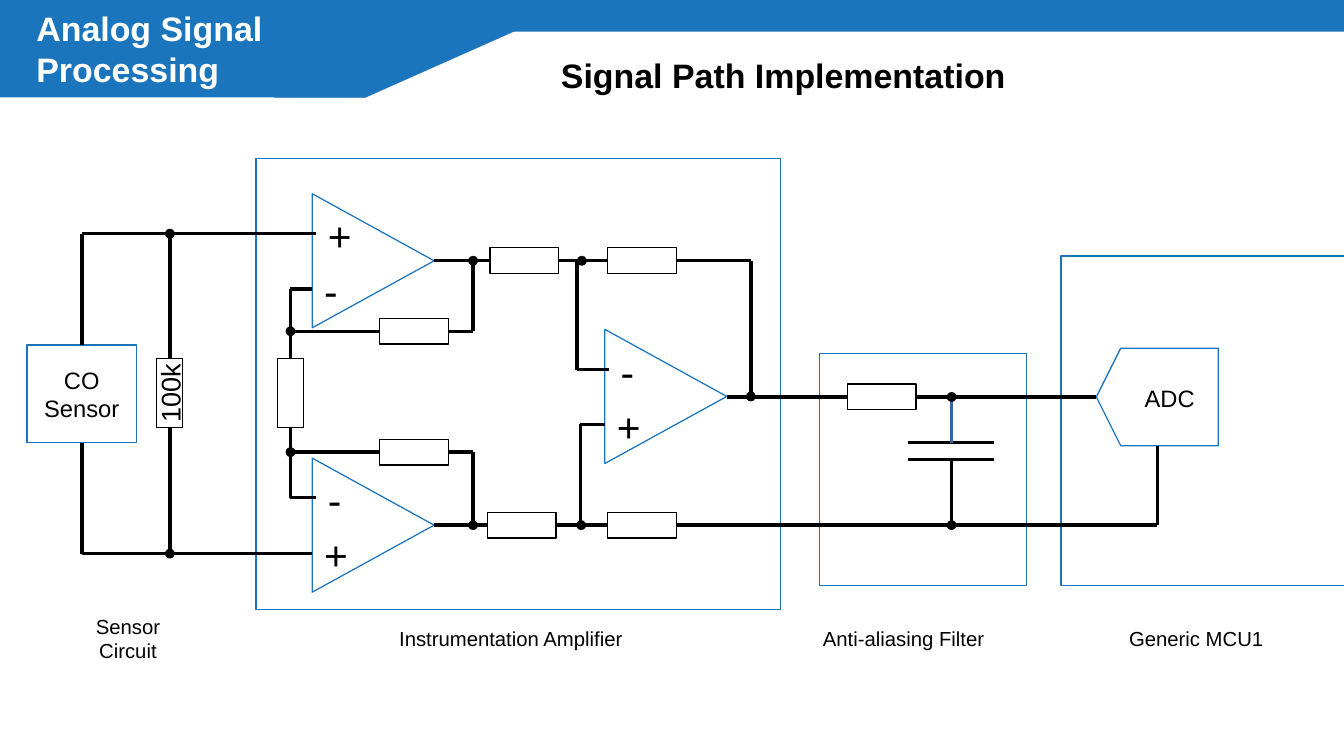
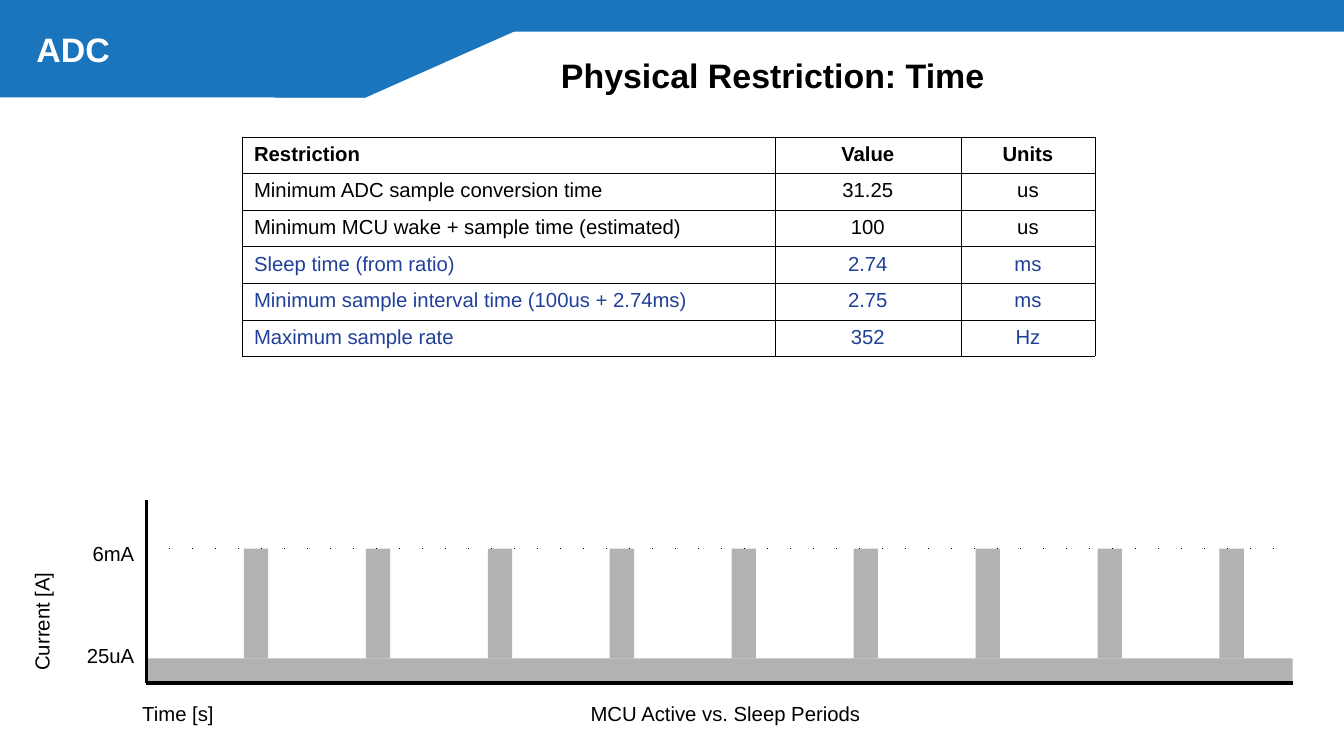
from dataclasses import dataclass
from typing import NamedTuple, Optional

from lxml import etree
from pptx import Presentation
from pptx.dml.color import RGBColor
from pptx.enum.shapes import MSO_CONNECTOR as Link, MSO_SHAPE as Form
from pptx.enum.text import MSO_ANCHOR as Anchor, MSO_AUTO_SIZE as AutoSize, PP_ALIGN as Align
from pptx.oxml.ns import qn
from pptx.util import Pt

COLOURS = {"brand": "1B75BC", "ink": "000000", "paper": "FFFFFF",
           "derived": "21409A", "pulse": "B2B2B2", "lead": "3465A4"}
FONT = "Arial"
HAIRLINE = 0
CELL_BORDER = 0.06


class Box(NamedTuple):
    left: float
    top: float
    width: float
    height: float


class Point(NamedTuple):
    x: float
    y: float


@dataclass
class Style:
    size: float = 12
    colour: str = "ink"
    bold: bool = False
    align: Align = Align.CENTER
    anchor: Anchor = Anchor.MIDDLE
    wrap: bool = True


@dataclass
class Band:
    form: Form
    box: Box
    flipped: bool = False
    slant: Optional[float] = None


@dataclass
class OpAmp:
    centre: Point
    signs: tuple[str, str]


@dataclass
class Label:
    text: str
    box: Box
    style: Style
    turn: float = 0


HEADING = Style(20, bold=True, align=Align.LEFT)
SECTION = Style(20, "paper", True, Align.LEFT)
SIGN = Style(24, align=Align.LEFT, anchor=Anchor.TOP)
PART = Style(14, wrap=False)
CAPTION = Style()
TICK = Style(align=Align.RIGHT)

BANDS = [
    Band(Form.RECTANGLE, Box(0, 0, 216, 57.6)),
    Band(Form.RIGHT_TRIANGLE, Box(216, 0, 129.6, 57.6), flipped=True),
    Band(Form.RECTANGLE, Box(295.2, 0, 498.3, 18.7)),
    Band(Form.PARALLELOGRAM, Box(162, 0, 72, 57.6), slant=0.312),
]


# Drawing helpers

def rgb(name: str) -> RGBColor:
    return RGBColor.from_string(COLOURS[name])


def points(values) -> list:
    return [Pt(value) for value in values]


def around(centre: Point, width: float, height: float) -> Box:
    return Box(centre.x - width / 2, centre.y - height / 2, width, height)


def write(frame, text: str, style: Style) -> None:
    frame.word_wrap = style.wrap
    frame.auto_size = AutoSize.NONE
    frame.vertical_anchor = style.anchor
    for number, line in enumerate(text.split("\n")):
        para = frame.add_paragraph() if number else frame.paragraphs[0]
        add_span(para, line, style)


def add_span(para, text: str, style: Style) -> None:
    para.alignment = style.align
    span = para.add_run()
    span.text = text
    span.font.name = FONT
    span.font.size = Pt(style.size)
    span.font.bold = style.bold
    span.font.color.rgb = rgb(style.colour)


def add_label(page, label: Label) -> None:
    box = page.shapes.add_textbox(*points(label.box))
    box.rotation = label.turn
    write(box.text_frame, label.text, label.style)


def add_form(page, form: Form, box: Box, fill: Optional[str] = None,
             line: Optional[str] = None, turn: float = 0):
    shape = page.shapes.add_shape(form, *points(box))
    shape.shadow.inherit = False
    shape.rotation = turn
    if fill:
        shape.fill.solid()
        shape.fill.fore_color.rgb = rgb(fill)
    else:
        shape.fill.background()
    if line:
        shape.line.color.rgb = rgb(line)
        shape.line.width = Pt(HAIRLINE)
    else:
        shape.line.fill.background()
    return shape


def add_line(page, start: Point, end: Point, colour: str = "ink", width: float = HAIRLINE):
    line = page.shapes.add_connector(Link.STRAIGHT, *points((*start, *end)))
    line.line.color.rgb = rgb(colour)
    line.line.width = Pt(width)
    etree.SubElement(line.element.spPr, qn("a:effectLst"))
    return line


def add_wire(page, *corners: tuple[float, float]) -> None:
    for start, end in zip(corners, corners[1:]):
        add_line(page, Point(*start), Point(*end))


def add_resistor(page, centre: Point, turn: float = 0):
    return add_form(page, Form.RECTANGLE, around(centre, 40.6, 15.3), line="ink", turn=turn)


def add_op_amp(page, amp: OpAmp) -> None:
    add_form(page, Form.ISOSCELES_TRIANGLE, around(amp.centre, 79.2, 72), line="brand", turn=90)
    for sign, across, down in zip(amp.signs, (-33.8, -36), (-33, -0.5)):
        place = Box(amp.centre.x + across, amp.centre.y + down, 36, 34)
        add_label(page, Label(sign, place, SIGN))


# Shared page design

def move_bands_to_layout(page) -> None:
    for number, band in enumerate(BANDS):
        shape = add_form(page, band.form, band.box, fill="brand")
        if band.slant is not None:
            shape.adjustments[0] = band.slant
        if band.flipped:
            shape.element.spPr.get_or_add_xfrm().set("flipV", "1")
        shape.element.nvSpPr.cNvPr.set("id", str(100 + number))
        page.slide_layout.shapes.element.insert(2 + number, shape.element)


def add_page(deck, section: str, heading: str):
    page = deck.slides.add_slide(deck.slide_layouts[5])
    title = page.shapes.title
    title.left, title.top, title.width, title.height = points(Box(324, 21, 430, 47))
    write(title.text_frame, heading, HEADING)
    add_label(page, Label(section, Box(14.4, 0, 244.8, 57.6), SECTION))
    return page


# Slide 1: circuit diagram

def draw_circuit(page) -> None:
    sensor_top, sensor_bottom = 138, 326.9
    upper, lower, middle = 154, 310.1, 234.4
    gain_top, gain_bottom = 195.6, 267
    sensor_x, load_x, gain_x, feedback_x = 48.5, 100.3, 171.5, 279.3
    divider_x, output_x, filter_x, adc_x = 343.5, 443.3, 561.8, 683.3

    # Blocks and captions
    for block in (Box(151.2, 93.6, 309.6, 266.4), Box(483.8, 208.8, 122.4, 136.8),
                  Box(626.4, 151.2, 194.4, 194.4)):
        add_form(page, Form.RECTANGLE, block, line="brand")
    for text, left, width in (("Sensor Circuit", 36, 79.2),
                              ("Instrumentation Amplifier", 180, 243.4),
                              ("Anti-aliasing Filter", 469.4, 128.2),
                              ("Generic MCU1", 642.2, 128.2)):
        add_label(page, Label(text, Box(left, 360, width, 34), CAPTION))

    # Sensor and converter
    sensor = add_form(page, Form.RECTANGLE, Box(16, 203.8, 64.6, 57.6), line="brand")
    write(sensor.text_frame, "CO\nSensor", PART)
    add_form(page, Form.FLOWCHART_OFFPAGE_CONNECTOR, around(Point(adc_x, middle), 57.6, 72),
             line="brand", turn=90)
    add_label(page, Label("ADC", Box(669, 206, 43.2, 57.6), PART))

    # Amplifiers
    for amp in (OpAmp(Point(220.3, upper), ("+", "-")), OpAmp(Point(220.3, lower), ("-", "+")),
                OpAmp(Point(393.1, middle - 0.3), ("-", "+"))):
        add_op_amp(page, amp)

    # Resistors
    for centre in (Point(309.7, upper), Point(379, upper), Point(308, lower), Point(379, lower),
                   Point(244.4, gain_top), Point(244.4, gain_bottom), Point(520.5, middle)):
        add_resistor(page, centre)
    add_resistor(page, Point(gain_x, 232), turn=270)
    load = add_resistor(page, Point(load_x, 232), turn=270)
    write(load.text_frame, "100k", Style(16, wrap=False))

    # Wires: sensor, gain network, difference stage, filter
    add_wire(page, (sensor_x, 203.8), (sensor_x, sensor_top), (186.5, sensor_top))
    add_wire(page, (sensor_x, 261.4), (sensor_x, sensor_bottom), (184.4, sensor_bottom))
    add_wire(page, (load_x, sensor_top), (load_x, 211.7))
    add_wire(page, (load_x, 252.3), (load_x, sensor_bottom))
    add_wire(page, (184.4, 170.6), (gain_x, 170.6), (gain_x, 211.7))
    add_wire(page, (gain_x, 252.3), (gain_x, 293.8), (186.5, 293.8))
    for row, output in ((gain_top, upper), (gain_bottom, lower)):
        add_wire(page, (gain_x, row), (224.1, row))
        add_wire(page, (264.7, row), (feedback_x, row), (feedback_x, output))
    add_wire(page, (256.3, upper), (289.4, upper))
    add_wire(page, (256.3, lower), (287.7, lower))
    add_wire(page, (330, upper), (358.7, upper))
    add_wire(page, (328.3, lower), (358.7, lower))
    add_wire(page, (359.3, 218.2), (340.6, 218.2), (340.6, upper))
    add_wire(page, (357.2, 250.6), (342.7, 250.6), (342.7, lower))
    add_wire(page, (399.3, upper), (output_x, upper), (output_x, middle))
    add_wire(page, (429.1, middle), (500.2, middle))
    add_wire(page, (540.8, middle), (647.3, middle))
    add_wire(page, (399.3, lower), (adc_x, lower), (adc_x, 263.3))

    # Capacitor
    for plate in (261.3, 271.3):
        add_wire(page, (536.1, plate), (587.1, plate))
    add_line(page, Point(filter_x, middle), Point(filter_x, 261.3), "lead")
    add_wire(page, (filter_x, 271.3), (filter_x, lower))

    # Junctions
    for junction in (Point(load_x, sensor_top), Point(load_x, sensor_bottom),
                     Point(gain_x, gain_top), Point(gain_x, gain_bottom),
                     Point(feedback_x, upper), Point(feedback_x, lower),
                     Point(divider_x, upper), Point(divider_x - 0.4, lower),
                     Point(output_x, middle - 0.3), Point(filter_x, middle),
                     Point(filter_x, lower)):
        add_form(page, Form.OVAL, around(junction, 5.8, 5.8), fill="ink")


# Slide 2: restriction table and pulse diagram

RESTRICTIONS = [
    ("Restriction", "Value", "Units"),
    ("Minimum ADC sample conversion time", "31.25", "us"),
    ("Minimum MCU wake + sample time (estimated)", "100", "us"),
    ("Sleep time (from ratio)", "2.74", "ms"),
    ("Minimum sample interval time (100us + 2.74ms)", "2.75", "ms"),
    ("Maximum sample rate", "352", "Hz"),
]
FIRST_DERIVED_ROW = 3


def add_borders(cell) -> None:
    properties = cell._tc.get_or_add_tcPr()
    for number, side in enumerate(("a:lnL", "a:lnR", "a:lnT", "a:lnB")):
        border = etree.Element(qn(side), w=str(int(Pt(CELL_BORDER))))
        fill = etree.SubElement(border, qn("a:solidFill"))
        etree.SubElement(fill, qn("a:srgbClr"), val=COLOURS["ink"])
        properties.insert(number, border)


def add_restriction_table(page) -> None:
    widths, row_height = (314.6, 109.9, 79.2), 21.6
    area = Box(142.8, 80.8, sum(widths), row_height * len(RESTRICTIONS))
    table = page.shapes.add_table(len(RESTRICTIONS), len(widths), *points(area)).table
    table.first_row = table.horz_banding = False
    for column, width in zip(table.columns, widths):
        column.width = Pt(width)
    for row_number, values in enumerate(RESTRICTIONS):
        table.rows[row_number].height = Pt(row_height)
        colour = "derived" if row_number >= FIRST_DERIVED_ROW else "ink"
        for column_number, value in enumerate(values):
            cell = table.cell(row_number, column_number)
            cell.fill.background()
            add_borders(cell)
            align = Align.CENTER if column_number else Align.LEFT
            add_span(cell.text_frame.paragraphs[0], value,
                     Style(colour=colour, bold=row_number == 0, align=align))


def draw_pulses(page) -> None:
    left, right, top, level, sleep, base = 86.4, 763.2, 295.2, 324, 388.8, 403.2
    add_form(page, Form.RECTANGLE, Box(left, sleep, right - left, base - sleep), fill="pulse")
    for number in range(9):
        pulse = Box(144 + 72 * number, level, 14.4, sleep - level)
        add_form(page, Form.RECTANGLE, pulse, fill="pulse")

    # Axes and dotted level
    add_wire(page, (left, top), (left, base), (right, base))
    dotted = add_line(page, Point(left, level), Point(right, level), width=0.6)
    dashes = etree.SubElement(dotted.element.spPr.find(qn("a:ln")), qn("a:custDash"))
    etree.SubElement(dashes, qn("a:ds"), d="100000", sp="2180000")

    for label in (Label("Current [A]", Box(-18.7, 350, 86.4, 34), CAPTION, turn=270),
                  Label("Time [s]", Box(61.9, 404, 86.4, 34), CAPTION),
                  Label("MCU Active vs. Sleep Periods", Box(316.8, 404, 223.2, 34), CAPTION),
                  Label("6mA", Box(0, 309.6, 86.4, 34), TICK),
                  Label("25uA", Box(0, 370, 86.4, 34), TICK)):
        add_label(page, label)


def main() -> None:
    deck = Presentation()
    deck.slide_width, deck.slide_height = Pt(793.5), Pt(446.4)
    circuit = add_page(deck, "Analog Signal Processing", "Signal Path Implementation")
    move_bands_to_layout(circuit)
    draw_circuit(circuit)
    timing = add_page(deck, "ADC", "Physical Restriction: Time")
    add_restriction_table(timing)
    draw_pulses(timing)
    deck.save("out.pptx")


if __name__ == "__main__":
    main()
